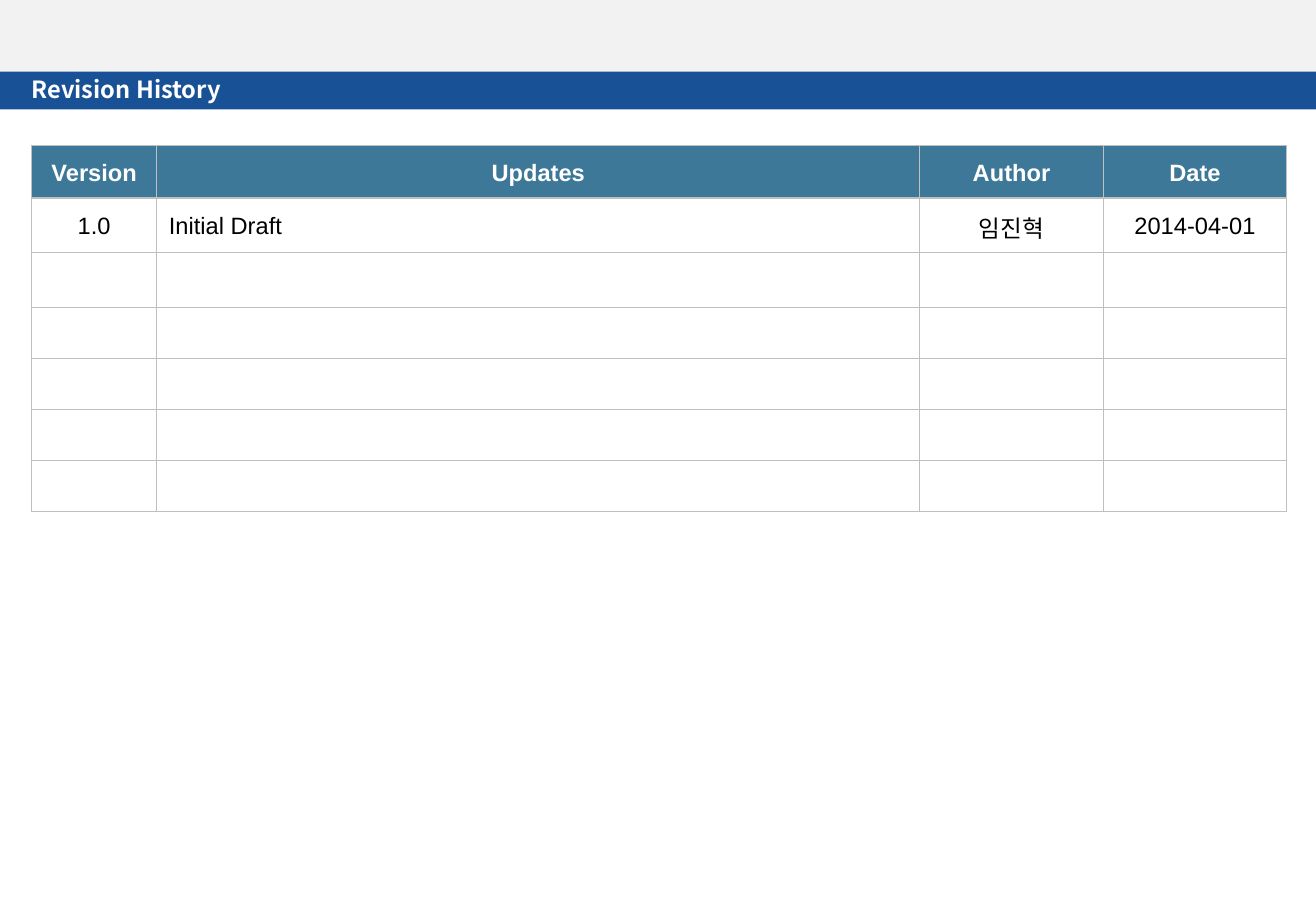
from lxml.etree import SubElement
from pptx import Presentation
from pptx.dml.color import RGBColor
from pptx.enum.shapes import MSO_SHAPE
from pptx.enum.text import MSO_ANCHOR, PP_ALIGN
from pptx.oxml.ns import qn
from pptx.util import Inches, Pt

WIDTH, HEIGHT = 10.83, 7.5
LEFT = 0.26
SANS, HANGUL = "Arial", "Noto Sans CJK KR"
COLS = [1.03, 6.28, 1.51, 1.51]
ROWS = [0.43, 0.45, 0.45, 0.42, 0.42, 0.42, 0.42]
HEADS = ["Version", "Updates", "Author", "Date"]
DRAFT = ["1.0", "Initial Draft", "임진혁", "2014-04-01"]


def color(code):
    """Turn a hex string into a colour."""
    return RGBColor.from_string(code)


def write(frame, text, size=14, font=SANS, ink="000000", bold=False,
          align=PP_ALIGN.LEFT, line=1.0):
    """Put formatted text into a text frame."""
    para = frame.paragraphs[0]
    para.alignment = align
    para.line_spacing = line
    run = para.add_run()
    run.text = text
    run.font.size = Pt(size)
    run.font.name = font
    run.font.bold = bold
    run.font.color.rgb = color(ink)
    SubElement(run.font._element, qn("a:ea"), typeface=HANGUL)


def add_band(slide, top, height, fill):
    """Draw a plain band across the slide."""
    band = slide.shapes.add_shape(MSO_SHAPE.RECTANGLE, 0, Inches(top),
                                  Inches(WIDTH), Inches(height))
    band.shadow.inherit = False
    band.fill.solid()
    band.fill.fore_color.rgb = color(fill)
    band.line.fill.background()


def add_title(slide, text):
    """Place the slide title on the blue band."""
    box = slide.shapes.add_textbox(Inches(LEFT), Inches(0.62),
                                   Inches(9.79), Inches(0.24))
    frame = box.text_frame
    frame.word_wrap = True
    frame.margin_left = frame.margin_right = 0
    frame.margin_top = frame.margin_bottom = 0
    write(frame, text, font=HANGUL, ink="FFFFFF", bold=True)


def add_edges(cell, ink="BFBFBF", width=0.75):
    """Rule all four sides of a cell."""
    props = cell._tc.get_or_add_tcPr()
    for side in ("lnL", "lnR", "lnT", "lnB"):
        edge = SubElement(props, qn("a:" + side), w=str(Pt(width)))
        fill = SubElement(edge, qn("a:solidFill"))
        SubElement(fill, qn("a:srgbClr"), val=ink)


def fill_cell(cell, row, col):
    """Format one cell and write its text, if any."""
    cell.vertical_anchor = MSO_ANCHOR.MIDDLE
    add_edges(cell)
    if row == 0:
        cell.fill.solid()
        cell.fill.fore_color.rgb = color("3E7898")
        write(cell.text_frame, HEADS[col], ink="FFFFFF", bold=True,
              align=PP_ALIGN.CENTER, line=1.1)
        return
    cell.fill.background()
    if row == 1:
        align = PP_ALIGN.LEFT if col == 1 else PP_ALIGN.CENTER
        write(cell.text_frame, DRAFT[col], align=align, line=1.1)


def add_history(slide):
    """Build the revision table."""
    table = slide.shapes.add_table(
        len(ROWS), len(COLS), Inches(LEFT), Inches(1.2),
        Inches(sum(COLS)), Inches(sum(ROWS))).table
    table.first_row = table.horz_banding = False
    for col, width in enumerate(COLS):
        table.columns[col].width = Inches(width)
    for row, height in enumerate(ROWS):
        table.rows[row].height = Inches(height)
        for col in range(len(COLS)):
            fill_cell(table.cell(row, col), row, col)


def main():
    """Build and save the slide."""
    deck = Presentation()
    deck.slide_width, deck.slide_height = Inches(WIDTH), Inches(HEIGHT)
    slide = deck.slides.add_slide(deck.slide_layouts[6])
    add_band(slide, 0, 0.62, "F2F2F2")
    add_band(slide, 0.59, 0.31, "185196")
    add_history(slide)
    add_title(slide, "Revision History")
    deck.save("out.pptx")


main()
